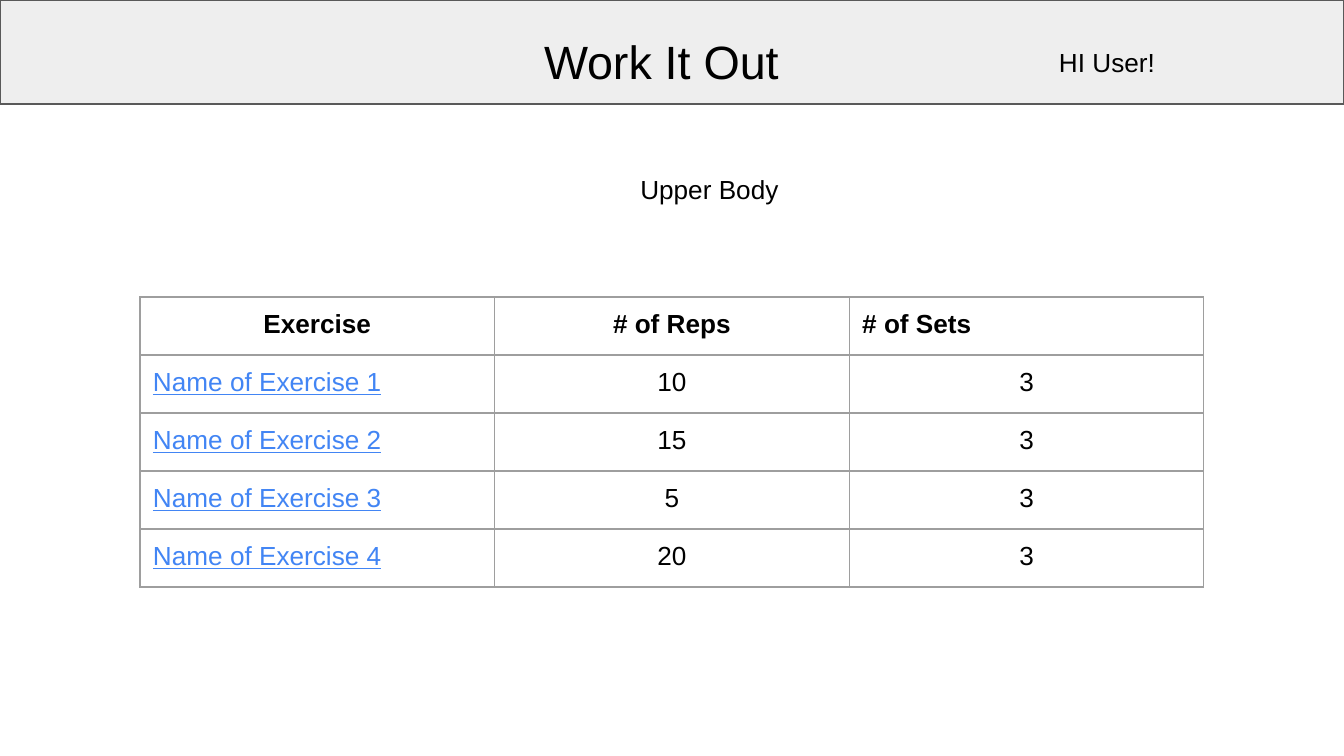
import lxml.etree
import pptx
import pptx.dml.color
import pptx.enum.shapes
import pptx.enum.text
import pptx.oxml.ns
import pptx.util

BLACK = pptx.dml.color.RGBColor(0x00, 0x00, 0x00)
BAND_GRAY = pptx.dml.color.RGBColor(0xEE, 0xEE, 0xEE)
OUTLINE_GRAY = pptx.dml.color.RGBColor(0x59, 0x59, 0x59)
BORDER_GRAY = pptx.dml.color.RGBColor(0x9E, 0x9E, 0x9E)
LINK_BLUE = pptx.dml.color.RGBColor(0x42, 0x85, 0xF4)
LEFT = pptx.enum.text.PP_ALIGN.LEFT
CENTER = pptx.enum.text.PP_ALIGN.CENTER


class WorkoutSlide:
    """Holds the text style and the slide, and adds each kind of element."""

    font_name = "Arial"
    body_size = 14
    inset = 13
    line_width = pptx.util.Pt(0.75)

    def __init__(self, presentation):
        self.slide = presentation.slides.add_slide(presentation.slide_layouts[5])

    @staticmethod
    def emu(pixels):
        return pptx.util.Emu(round(pixels * 914400 / 134.4))

    def add_run(self, frame, text, align=LEFT, size=body_size, color=BLACK,
                bold=False, underline=False):
        paragraph = frame.paragraphs[0]
        paragraph.alignment = align
        run = paragraph.add_run()
        run.text = text
        font = run.font
        font.name, font.size = self.font_name, pptx.util.Pt(size)
        font.bold, font.underline = bold, underline
        font.color.rgb = color

    def set_insets(self, holder):
        inset = self.emu(self.inset)
        holder.margin_left = holder.margin_right = inset
        holder.margin_top = holder.margin_bottom = inset

    def fill_text_shape(self, shape, box, text, **style):
        shape.left, shape.top, shape.width, shape.height = map(self.emu, box)
        frame = shape.text_frame
        frame.word_wrap = True
        frame.auto_size = pptx.enum.text.MSO_AUTO_SIZE.SHAPE_TO_FIT_TEXT
        frame.vertical_anchor = pptx.enum.text.MSO_ANCHOR.TOP
        self.set_insets(frame)
        self.add_run(frame, text, **style)

    def title(self, box, text, **style):
        self.fill_text_shape(self.slide.shapes.title, box, text, **style)

    def text(self, box, text, **style):
        shape = self.slide.shapes.add_textbox(*map(self.emu, box))
        self.fill_text_shape(shape, box, text, **style)

    def band(self, box):
        shape = self.slide.shapes.add_shape(
            pptx.enum.shapes.MSO_SHAPE.RECTANGLE, *map(self.emu, box))
        shape.shadow.inherit = False
        shape.fill.solid()
        shape.fill.fore_color.rgb = BAND_GRAY
        shape.line.color.rgb = OUTLINE_GRAY
        shape.line.width = self.line_width
        self.slide.shapes.title.element.addprevious(shape.element)

    def add_borders(self, cell):
        properties = cell._tc.get_or_add_tcPr()
        qn = pptx.oxml.ns.qn
        for position, side in enumerate(("lnL", "lnR", "lnT", "lnB")):
            line = lxml.etree.Element(qn("a:" + side), w=str(self.line_width))
            fill = lxml.etree.SubElement(line, qn("a:solidFill"))
            lxml.etree.SubElement(fill, qn("a:srgbClr"), val=str(BORDER_GRAY))
            properties.insert(position, line)

    def table(self, box, header, rows):
        shape = self.slide.shapes.add_table(
            len(rows) + 1, len(header), *map(self.emu, box))
        table = shape.table
        table.first_row = table.horz_banding = False
        for row_index, values in enumerate([header, *rows]):
            for column_index, value in enumerate(values):
                cell = table.cell(row_index, column_index)
                cell.fill.background()
                self.set_insets(cell)
                self.add_borders(cell)
                is_header = row_index == 0
                is_link = column_index == 0 and not is_header
                is_left = is_link or (is_header and column_index == 2)
                self.add_run(cell.text_frame, value,
                             align=LEFT if is_left else CENTER,
                             color=LINK_BLUE if is_link else BLACK,
                             bold=is_header, underline=is_link)


presentation = pptx.Presentation()
presentation.slide_width = WorkoutSlide.emu(1344)
presentation.slide_height = WorkoutSlide.emu(756)

workout = WorkoutSlide(presentation)
workout.band((0, 0, 1344, 104))
workout.title((531, 20, 282, 84), "Work It Out", size=25)
workout.text((595, 160, 229, 59), "Upper Body", align=CENTER)
workout.text((1046, 33, 292, 59), "HI User! ")

repetitions = ["10", "15", "5", "20"]
exercises = [(f"Name of Exercise {number}", count, "3")
             for number, count in enumerate(repetitions, 1)]
workout.table((140, 297, 1064, 290),
              ("Exercise", "# of Reps", "# of Sets"), exercises)

presentation.save("out.pptx")
